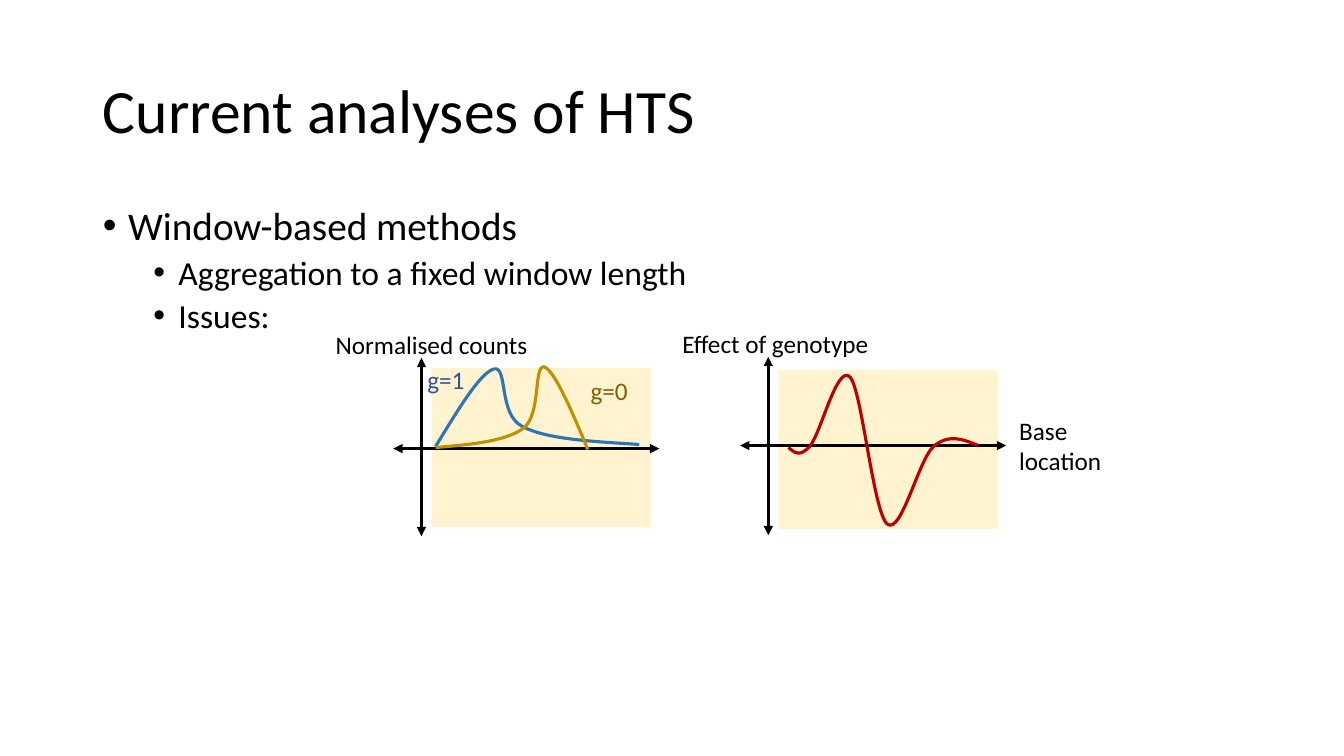
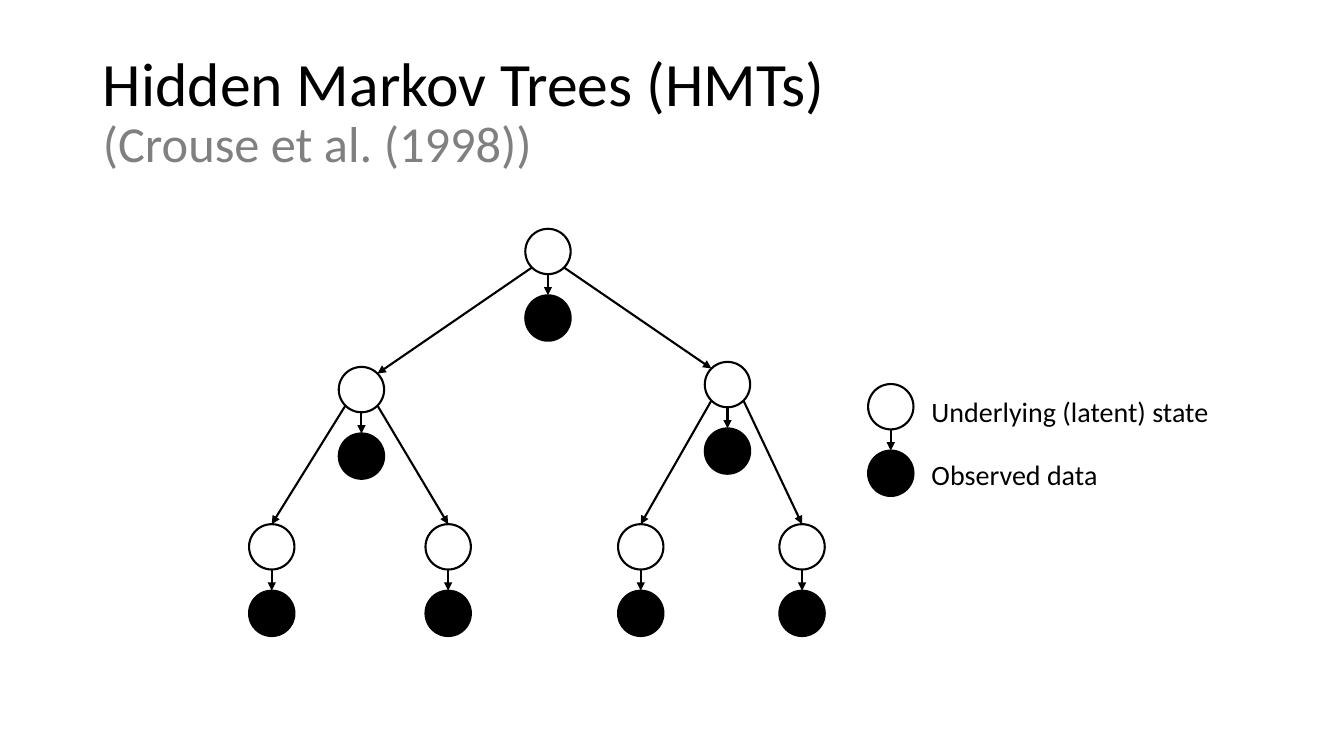
from dataclasses import dataclass
from math import sqrt

from lxml.etree import SubElement
from pptx import Presentation
from pptx.dml.color import RGBColor
from pptx.enum.shapes import MSO_CONNECTOR, MSO_SHAPE
from pptx.enum.text import MSO_ANCHOR, MSO_AUTO_SIZE, PP_ALIGN
from pptx.oxml.ns import qn
from pptx.util import Inches, Pt


@dataclass(frozen=True)
class Theme:
    font: str = "Calibri"
    ink: str = "000000"
    muted: str = "808080"
    window: str = "FFD966"
    blue: str = "2E75B6"
    gold: str = "BF9000"
    red: str = "C00000"
    navy: str = "2F5597"
    brown: str = "806000"
    title: int = 44
    cite: int = 36
    body: tuple = (28, 24)
    label: int = 18
    key: int = 20
    thick: float = 2.25
    thin: float = 1.5


THEME = Theme()
TITLE_BOX = (0.92, 0.4, 11.5, 1.45)
BODY_BOX = (0.92, 2, 11.5, 4.76)
NODE = 0.45
DROP = 0.66

# Curves: a start point, then three points per cubic segment.
EFFECT = [(7.82, 4.44),
          (7.88, 4.49), (7.93, 4.54), (8.03, 4.43),
          (8.14, 4.31), (8.3, 3.61), (8.43, 3.74),
          (8.55, 3.87), (8.66, 5.08), (8.8, 5.2),
          (8.94, 5.31), (9.11, 4.56), (9.26, 4.43),
          (9.41, 4.3), (9.56, 4.36), (9.7, 4.42)]
COUNTS_1 = [(4.32, 4.43),
            (4.54, 4.07), (4.76, 3.7), (4.9, 3.66),
            (5.04, 3.63), (4.94, 4.11), (5.18, 4.23),
            (5.42, 4.36), (5.88, 4.38), (6.34, 4.41)]
COUNTS_0 = [(5.83, 4.46),
            (5.67, 4.07), (5.5, 3.68), (5.4, 3.64),
            (5.29, 3.61), (5.37, 4.12), (5.19, 4.25),
            (5.01, 4.38), (4.67, 4.41), (4.32, 4.44)]

# Each node: left, top, children.
TREE = (5.21, 2.27, [
    (3.36, 3.64, [(2.47, 5.2, []), (4.22, 5.2, [])]),
    (6.99, 3.59, [(6.13, 5.2, []), (7.73, 5.2, [])]),
])


def rgb(color):
    return RGBColor.from_string(color)


def style(item, size, color=THEME.ink):
    """Format the font of a paragraph or run."""
    item.font.name = THEME.font
    item.font.size = Pt(size)
    item.font.color.rgb = rgb(color)


def place(shape, box):
    shape.left, shape.top, shape.width, shape.height = map(Inches, box)


def add_slide(deck, layout, title, cite=None):
    slide = deck.slides.add_slide(deck.slide_layouts[layout])
    head = slide.shapes.title
    place(head, TITLE_BOX)
    frame = head.text_frame
    frame.auto_size = MSO_AUTO_SIZE.NONE
    frame.vertical_anchor = MSO_ANCHOR.MIDDLE
    para = frame.paragraphs[0]
    para.alignment = PP_ALIGN.LEFT
    para.line_spacing = 0.9
    run = para.add_run()
    run.text = title
    style(run, THEME.title)
    if cite:
        para.add_line_break()
        run = para.add_run()
        run.text = cite
        style(run, THEME.cite, THEME.muted)
    return slide


def add_list(slide, items):
    body = slide.placeholders[1]
    place(body, BODY_BOX)
    frame = body.text_frame
    frame.auto_size = MSO_AUTO_SIZE.NONE
    for i, (level, text) in enumerate(items):
        para = frame.add_paragraph() if i else frame.paragraphs[0]
        para.text = text
        para.level = level
        para.line_spacing = 0.9
        para.space_before = Pt(5 if level else 10)
        style(para, THEME.body[level])
        props = para._p.get_or_add_pPr()
        props.set("marL", str(Inches(0.25 + 0.5 * level)))
        props.set("indent", str(Inches(-0.25)))
        SubElement(props, qn("a:buFont"), typeface="Arial")
        SubElement(props, qn("a:buChar"), char="•")


def add_label(slide, text, box, size=THEME.label, color=THEME.ink):
    shape = slide.shapes.add_textbox(*map(Inches, box))
    frame = shape.text_frame
    frame.word_wrap = True
    frame.auto_size = MSO_AUTO_SIZE.SHAPE_TO_FIT_TEXT
    para = frame.paragraphs[0]
    para.text = text
    style(para, size, color)


def add_arrow(slide, start, end, width, both=False):
    """Draw an arrow between two points given as lengths."""
    line = slide.shapes.add_connector(MSO_CONNECTOR.STRAIGHT, *start, *end)
    line.line.color.rgb = rgb(THEME.ink)
    line.line.width = Pt(width)
    props = line._element.spPr
    stroke = props.find(qn("a:ln"))
    if both:
        SubElement(stroke, qn("a:headEnd"), type="triangle")
    SubElement(stroke, qn("a:tailEnd"), type="triangle")
    SubElement(props, qn("a:effectLst"))
    return line


def add_curve(slide, points, color):
    start, *rest = [(Inches(x), Inches(y)) for x, y in points]
    pen = slide.shapes.build_freeform(*start)
    pen.add_line_segments(rest, close=False)
    curve = pen.convert_to_shape()
    curve.shadow.inherit = False
    curve.fill.background()
    curve.line.color.rgb = rgb(color)
    curve.line.width = Pt(THEME.thick)
    trace = next(curve._element.iter(qn("a:path")))
    steps = trace.findall(qn("a:lnTo"))
    for i in range(0, len(steps), 3):
        bend = SubElement(trace, qn("a:cubicBezTo"))
        for step in steps[i:i + 3]:
            bend.append(step[0])
            trace.remove(step)


def add_plot(slide, caption, x, top, mid, pane):
    """Draw a shaded window with axes that cross at (x, mid)."""
    box = map(Inches, (x + 0.1, pane, 2.18, 1.58))
    shade = slide.shapes.add_shape(MSO_SHAPE.RECTANGLE, *box)
    shade.shadow.inherit = False
    shade.fill.solid()
    shade.fill.fore_color.rgb = rgb(THEME.window)
    tint = next(shade._element.spPr.iter(qn("a:srgbClr")))
    SubElement(tint, qn("a:alpha"), val="30000")
    shade.line.fill.background()
    for ends in (((x - 0.28, mid), (x + 2.36, mid)),
                 ((x, top + 1.77), (x, top))):
        start, end = [tuple(map(Inches, spot)) for spot in ends]
        add_arrow(slide, start, end, THEME.thick, both=True)
    add_label(slide, caption, (x - 0.95, top - 0.33, 2.18, 0.4))


def add_node(slide, x, y, solid=False):
    box = map(Inches, (x, y, NODE, NODE))
    node = slide.shapes.add_shape(MSO_SHAPE.OVAL, *box)
    node.shadow.inherit = False
    if solid:
        node.fill.solid()
        node.fill.fore_color.rgb = rgb(THEME.ink)
    else:
        node.fill.background()
    node.line.color.rgb = rgb(THEME.ink)
    node.line.width = Pt(THEME.thin)
    return node


def rim(node, across, down):
    """Return the point on a circle's edge in the given direction."""
    radius = node.width / 2
    reach = radius / sqrt(across ** 2 + down ** 2)
    return (round(node.left + radius + across * reach),
            round(node.top + radius + down * reach))


def add_pair(slide, x, y):
    """Draw a latent state above its observed value."""
    state = add_node(slide, x, y)
    data = add_node(slide, x, y + DROP, solid=True)
    arrow = add_arrow(slide, rim(state, 0, 1), rim(data, 0, -1), THEME.thin)
    arrow.end_connect(data, 0)
    return state


def add_tree(slide, x, y, kids):
    state = add_pair(slide, x, y)
    for side, kid in zip((-1, 1), kids):
        child = add_tree(slide, *kid)
        inner = bool(kid[2])
        end = rim(child, -side if inner else 0, -1)
        arrow = add_arrow(slide, rim(state, side, 1), end, THEME.thin)
        if not inner:
            arrow.end_connect(child, 0)
    return state


def window_slide(deck):
    slide = add_slide(deck, 1, "Current analyses of HTS")
    add_list(slide, [(0, "Window-based methods"),
                     (1, "Aggregation to a fixed window length"),
                     (1, "Issues:")])
    add_plot(slide, "Effect of genotype", 7.62, 3.54, 4.42, 3.67)
    add_label(slide, "Base location", (10.01, 4.07, 1.18, 0.71))
    add_curve(slide, EFFECT, THEME.red)
    add_plot(slide, "Normalised counts", 4.18, 3.55, 4.45, 3.65)
    add_curve(slide, COUNTS_1, THEME.blue)
    add_curve(slide, COUNTS_0, THEME.gold)
    add_label(slide, "g=1", (4.14, 3.57, 0.67, 0.4), color=THEME.navy)
    add_label(slide, "g=0", (5.76, 3.67, 0.67, 0.4), color=THEME.brown)


def tree_slide(deck):
    slide = add_slide(deck, 5, "Hidden Markov Trees (HMTs)",
                      "(Crouse et al. (1998))")
    add_tree(slide, *TREE)
    add_pair(slide, 8.61, 3.81)
    for text, y in (("Underlying (latent) state", 3.86),
                    ("Observed data", 4.49)):
        add_label(slide, text, (9.14, y, 3.08, 0.44), THEME.key)


def main():
    deck = Presentation()
    deck.slide_width, deck.slide_height = Inches(13.33), Inches(7.5)
    window_slide(deck)
    tree_slide(deck)
    deck.save("out.pptx")


if __name__ == "__main__":
    main()
